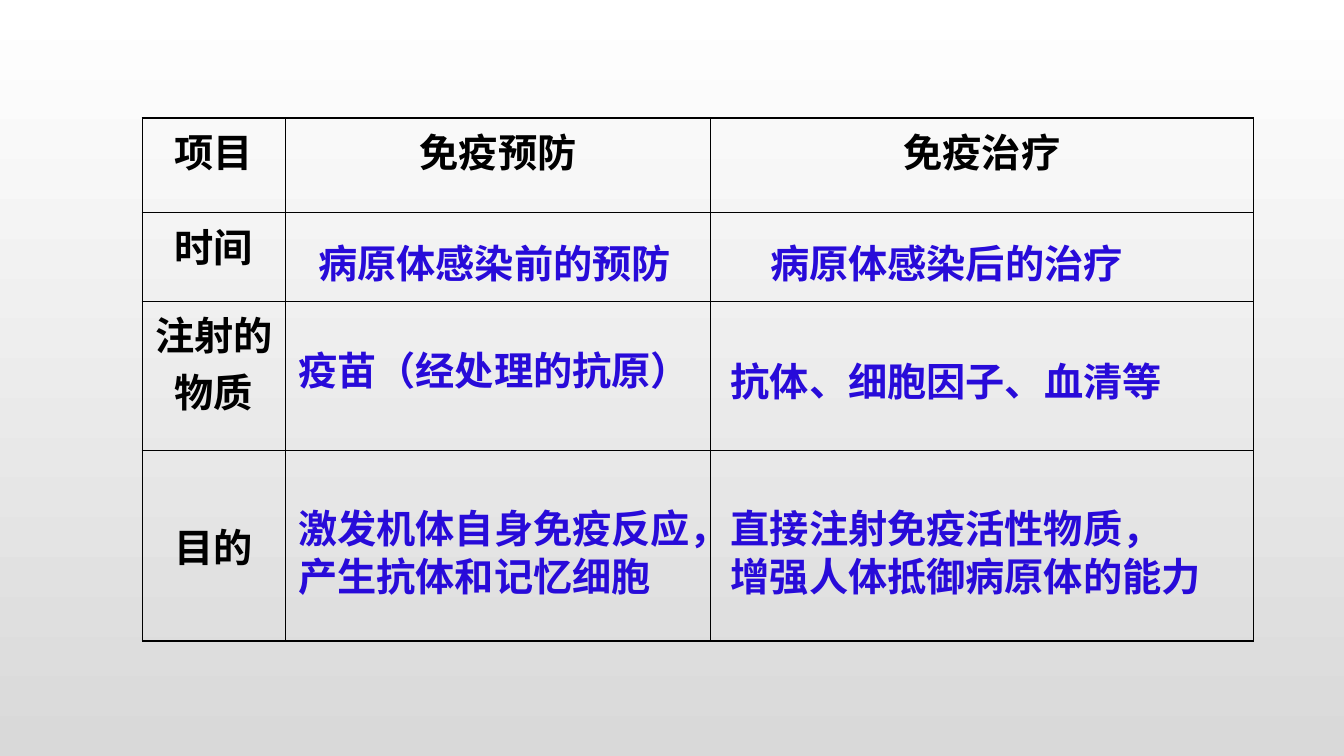
"""Build a slide comparing immune prevention with immune therapy."""
import pptx
import pptx.dml.color
import pptx.enum.text
import pptx.oxml
import pptx.oxml.ns
import pptx.util
from pptx.util import Inches

THEME = {
    "font": "Noto Sans CJK SC",
    "size": pptx.util.Pt(28),
    "leading": pptx.util.Pt(34),
    "label": "000000",
    "answer": "280BD9",
    "border": "000000",
    "background": ("FFFFFF", "D9D9D9"),
}


def add_text(p, text, color):
    r = p.add_run()
    r.text = text
    for name, value in {"name": THEME["font"], "size": THEME["size"], "bold": True}.items():
        setattr(r.font, name, value)
    r.font.color.rgb = pptx.dml.color.RGBColor.from_string(color)
    ea = pptx.oxml.parse_xml(f'<a:ea {pptx.oxml.ns.nsdecls("a")} typeface="{THEME["font"]}"/>')
    r.font._element.append(ea)


def add_borders(cell):
    for side in ("lnL", "lnR", "lnT", "lnB"):
        cell._tc.get_or_add_tcPr().append(pptx.oxml.parse_xml(
            f'<a:{side} {pptx.oxml.ns.nsdecls("a")} w="12700"><a:solidFill>'
            f'<a:srgbClr val="{THEME["border"]}"/></a:solidFill></a:{side}>'))


prs = pptx.Presentation()
prs.slide_width, prs.slide_height = Inches(13.33), Inches(7.5)
s = prs.slides.add_slide(prs.slide_layouts[6])

fill = s.background.fill
fill.gradient()
fill.gradient_angle = 270
for stop, position, color in zip(fill.gradient_stops, (0, 1), THEME["background"]):
    stop.position = position
    stop.color.rgb = pptx.dml.color.RGBColor.from_string(color)

columns = (1.42, 4.22, 5.38)
rows = (0.94, 0.88, 1.48, 1.89)
labels = (("项目", "免疫预防", "免疫治疗"), ("时间", "", ""), ("注射的物质", "", ""), ("目的", "", ""))
cell_format = {
    "margin_left": Inches(0.07), "margin_right": Inches(0.07),
    "margin_top": Inches(0.04), "margin_bottom": Inches(0.04),
}
table = s.shapes.add_table(len(rows), len(columns), Inches(1.41), Inches(1.17),
                           Inches(sum(columns)), Inches(sum(rows))).table
table.first_row = table.horz_banding = False
for column, width in zip(table.columns, columns):
    column.width = Inches(width)
for row, height, texts in zip(table.rows, rows, labels):
    row.height = Inches(height)
    for cell, text in zip(row.cells, texts):
        for name, value in cell_format.items():
            setattr(cell, name, value)
        add_borders(cell)
        cell.fill.background()
        if text:
            p = cell.text_frame.paragraphs[0]
            p.alignment = pptx.enum.text.PP_ALIGN.CENTER
            add_text(p, text, THEME["label"])
table.cell(3, 0).vertical_anchor = pptx.enum.text.MSO_ANCHOR.MIDDLE

answers = (
    (3.06, 2.29, 3.7, 0.57, ("病原体感染前的预防",)),
    (7.54, 2.29, 3.7, 0.57, ("病原体感染后的治疗",)),
    (2.86, 3.35, 4.09, 0.57, ("疫苗（经处理的抗原）",)),
    (7.15, 3.46, 4.48, 0.57, ("抗体、细胞因子、血清等",)),
    (2.86, 4.92, 4.48, 1.04, ("激发机体自身免疫反应，", "产生抗体和记忆细胞")),
    (7.15, 4.92, 4.87, 1.04, ("直接注射免疫活性物质，", "增强人体抵御病原体的能力")),
)
box_format = {"word_wrap": False, "margin_top": Inches(0.08), "margin_bottom": Inches(0.02)}
for left, top, width, height, lines in answers:
    tf = s.shapes.add_textbox(Inches(left), Inches(top), Inches(width), Inches(height)).text_frame
    for name, value in box_format.items():
        setattr(tf, name, value)
    for i, line in enumerate(lines):
        p = tf.add_paragraph() if i else tf.paragraphs[0]
        p.line_spacing = THEME["leading"]
        add_text(p, line, THEME["answer"])

prs.save("out.pptx")
